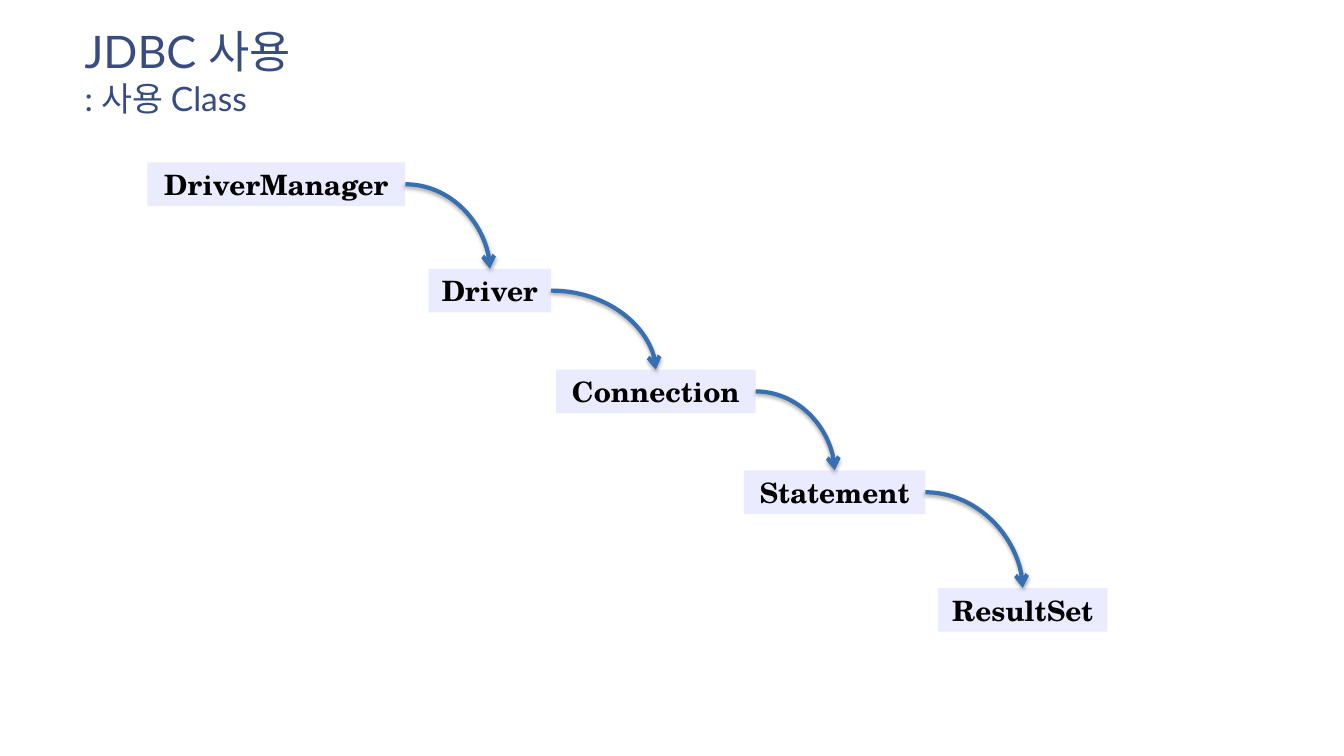
from lxml import etree
from pptx import Presentation
from pptx.dml.color import RGBColor
from pptx.enum import shapes, text
from pptx.oxml import ns, parse_xml
from pptx.util import Pt

COLORS = {"title": "384C81", "box": "EBEBFF", "label": "000000", "arrow": "386FB1"}
TITLE_FONT, LABEL_FONT = "Lato", "TeX Gyre Schola"
BOX_HEIGHT = 31.2
CLASSES = [
    ("DriverManager", 105.3, 116, 184.2),
    ("Driver", 306.1, 192, 87.6),
    ("Connection", 397.2, 264, 142.5),
    ("Statement", 531.4, 336, 129.6),
    ("ResultSet", 670, 420, 121),
]
SHADOW = (
    f'<a:effectLst {ns.nsdecls("a")}>'
    f'<a:outerShdw blurRad="{Pt(3.1)}" dist="{Pt(1.8)}" dir="5400000" rotWithShape="0">'
    '<a:srgbClr val="000000"><a:alpha val="35000"/></a:srgbClr>'
    "</a:outerShdw></a:effectLst>"
)


def color(name):
    """Return the named colour."""
    return RGBColor.from_string(COLORS[name])


def add_title(page, heading, subheading):
    """Add the heading with a smaller second line."""
    box = page.shapes.add_textbox(Pt(53.3), Pt(13.7), Pt(677), Pt(90))
    box.text_frame.word_wrap = True
    para = box.text_frame.paragraphs[0]
    para.font.name = TITLE_FONT
    para.font.color.rgb = color("title")
    span = para.add_run()
    span.text, span.font.size = heading, Pt(32)
    para.add_line_break()
    span = para.add_run()
    span.text, span.font.size = subheading, Pt(24)


def add_class_box(page, name, left, top, width):
    """Add a filled box labelled with a class name."""
    box = page.shapes.add_shape(
        shapes.MSO_SHAPE.RECTANGLE, Pt(left), Pt(top), Pt(width), Pt(BOX_HEIGHT)
    )
    box.shadow.inherit = False
    box.fill.solid()
    box.fill.fore_color.rgb = color("box")
    box.line.fill.background()
    frame = box.text_frame
    frame.word_wrap = False
    frame.vertical_anchor = text.MSO_ANCHOR.MIDDLE
    para = frame.paragraphs[0]
    para.text = name
    para.alignment = text.PP_ALIGN.CENTER
    para.font.name, para.font.size, para.font.bold = LABEL_FONT, Pt(20), True
    para.font.color.rgb = color("label")
    return box


def add_curved_arrow(page, source, target):
    """Join the right side of one box to the top of the next."""
    arrow = page.shapes.add_connector(shapes.MSO_CONNECTOR.CURVE, 0, 0, 0, 0)
    arrow.begin_connect(source, 3)
    arrow.end_connect(target, 0)
    arrow.line.color.rgb = color("arrow")
    arrow.line.width = Pt(3)
    properties = arrow._element.spPr
    properties.find(ns.qn("a:prstGeom")).set("prst", "curvedConnector2")
    etree.SubElement(properties.find(ns.qn("a:ln")), ns.qn("a:tailEnd"), type="arrow")
    properties.append(parse_xml(SHADOW))


def main():
    """Build the deck and save it."""
    deck = Presentation()
    deck.slide_width, deck.slide_height = Pt(960), Pt(540)
    page = deck.slides.add_slide(deck.slide_layouts[6])
    add_title(page, "JDBC 사용", ": 사용 Class")
    boxes = [add_class_box(page, *item) for item in CLASSES]
    for source, target in zip(boxes, boxes[1:]):
        add_curved_arrow(page, source, target)
    deck.save("out.pptx")


if __name__ == "__main__":
    main()
